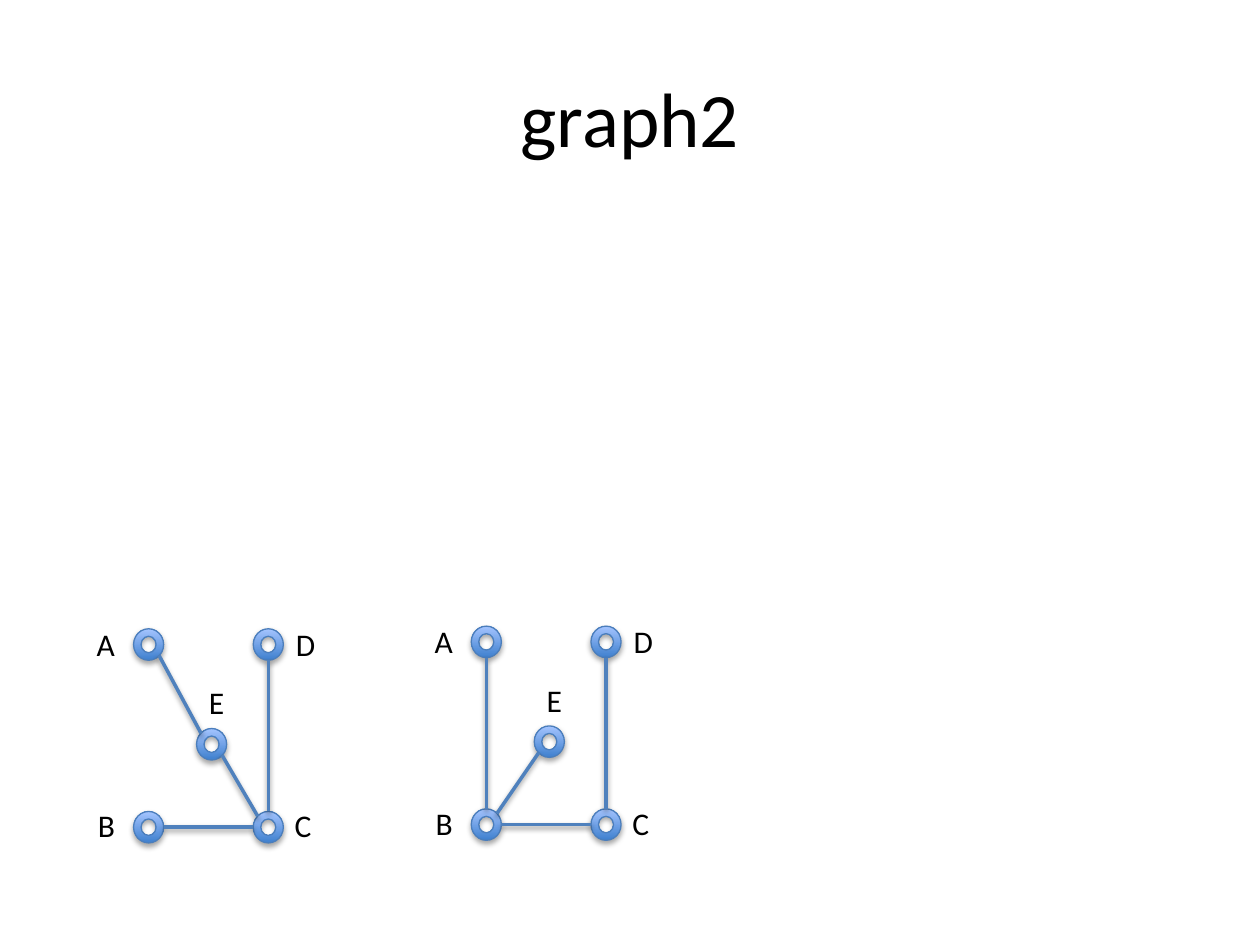
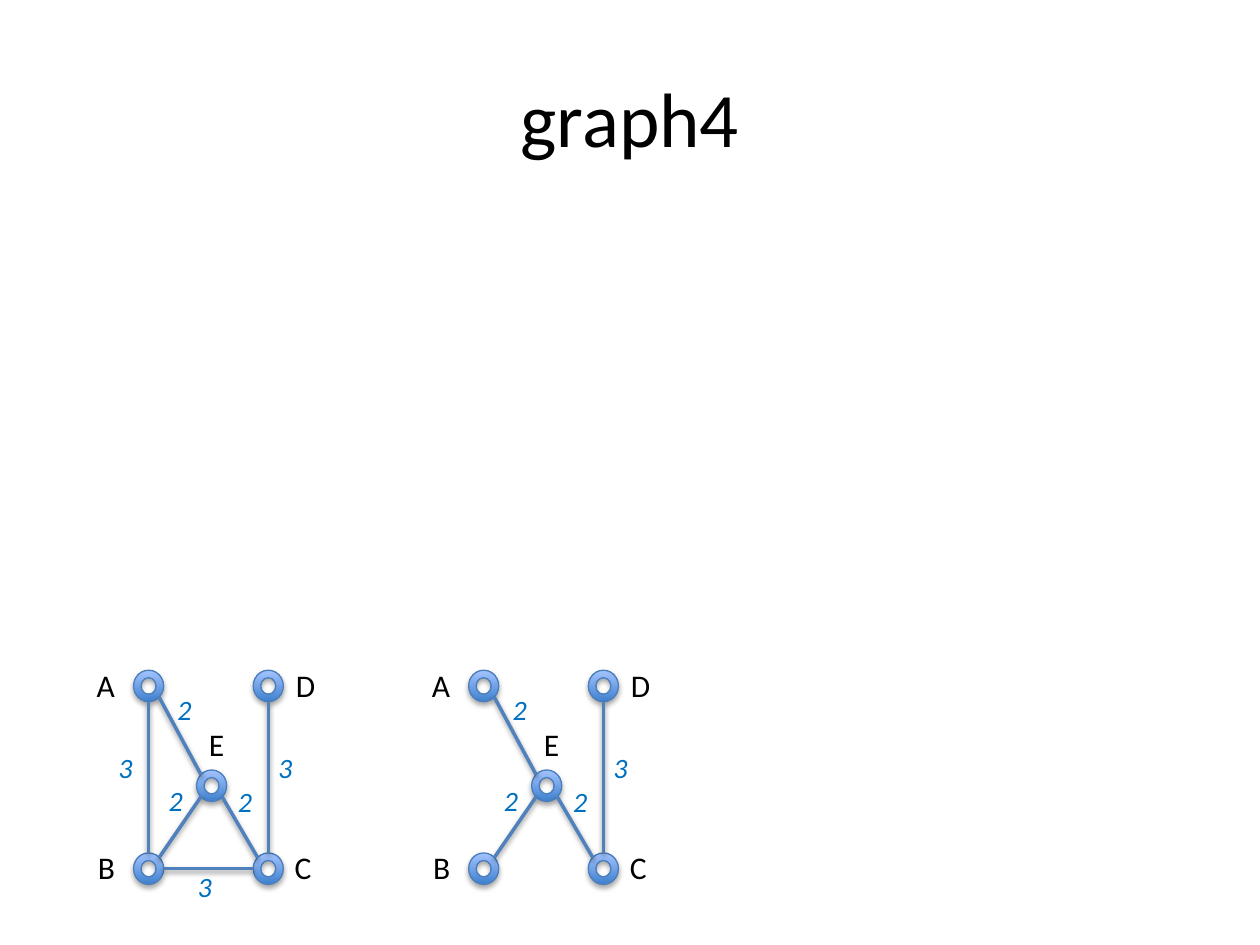
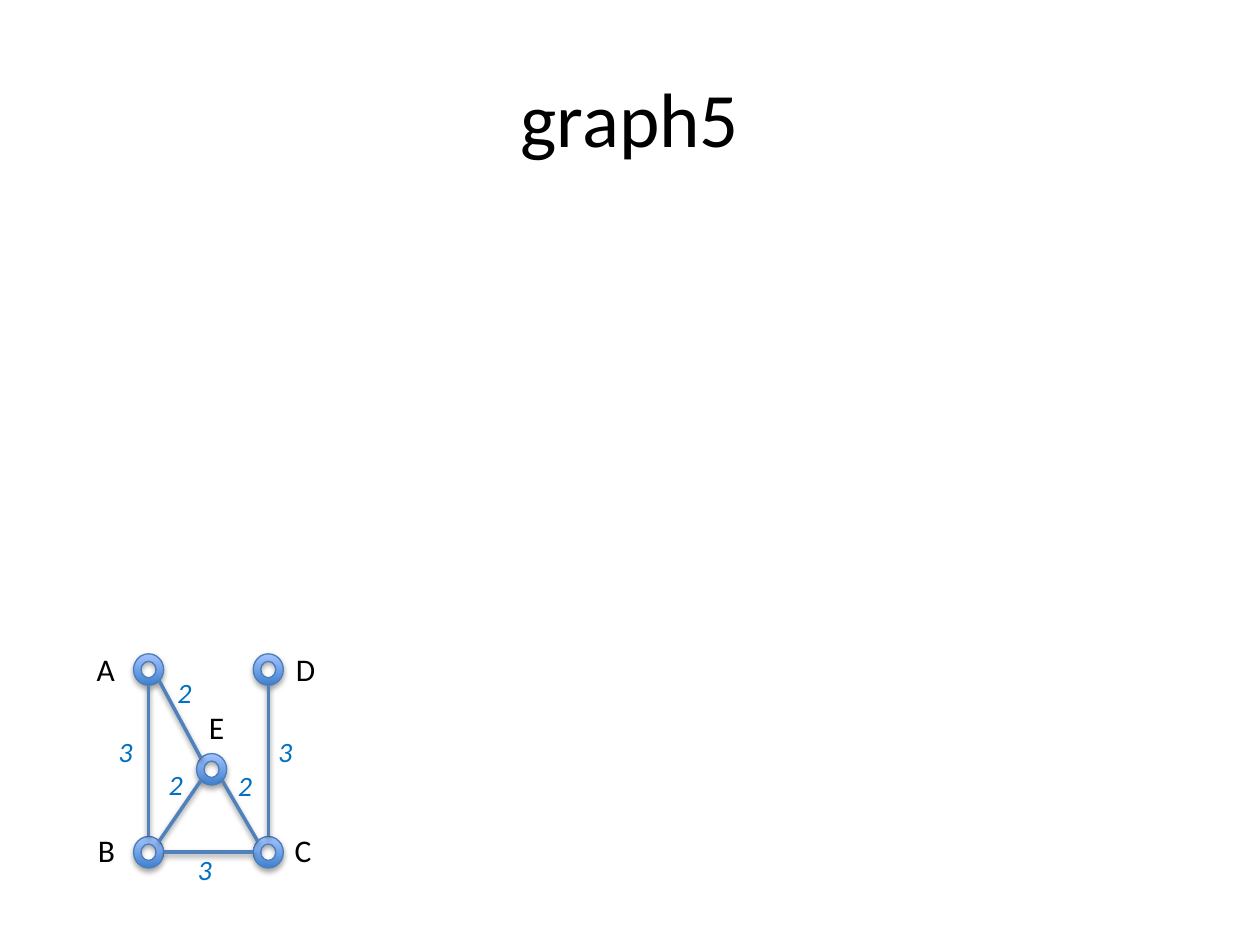
import dataclasses

import lxml.etree
import pptx
import pptx.dml.color
import pptx.enum.shapes
import pptx.enum.text
import pptx.oxml.ns
import pptx.presentation
import pptx.shapes.base
import pptx.shapes.shapetree
import pptx.text.text
import pptx.util

Pt = pptx.util.Pt

COLORS = {
    "text": "000000",
    "weight": "0070C0",
    "node_bottom": "3F80CE",
    "node_top": "A4C4FF",
    "node_line": "4B7EBC",
    "edge": "4F81BD",
    "shadow": "000000",
}
FONT = "Calibri"
NODE_WIDTH, NODE_HEIGHT = 17.2, 18
LABEL_HEIGHT = 29
WEIGHT_WIDTH, WEIGHT_HEIGHT = 23, 26.6

TOP_LEFT, TOP_RIGHT = (0.15, 0.15), (0.85, 0.15)
BOTTOM_LEFT, BOTTOM_RIGHT = (0.15, 0.85), (0.85, 0.85)
TOP, BOTTOM, LEFT, RIGHT = (0.5, 0), (0.5, 1), (0, 0.5), (1, 0.5)


@dataclasses.dataclass(frozen=True)
class Node:
    x: float
    y: float
    label_x: float
    label_y: float
    label_width: float
    wrap: bool = False


@dataclasses.dataclass(frozen=True)
class Edge:
    start: tuple[float, float]
    end: tuple[float, float]
    weight: str
    weight_x: float
    weight_y: float


@dataclasses.dataclass(frozen=True)
class Graph:
    x: float
    y: float
    edges: tuple[str, ...]
    weighted: bool = True


NODES = {
    "A": Node(0, 0, -28.1, -5.8, 25.2),
    "E": Node(36, 57, 36, 27.7, 23.8),
    "D": Node(68.4, 0, 85.7, -5.8, 25.9),
    "B": Node(0, 104.4, -27.4, 97.9, 24.5),
    "C": Node(68.4, 104.4, 85, 97.9, 24.5, wrap=True),
}
EDGES = {
    "DC": Edge(BOTTOM, TOP, "3", 75.6, 42.5),
    "EB": Edge(BOTTOM_LEFT, TOP_RIGHT, "2", 13, 61.2),
    "AB": Edge(BOTTOM, TOP, "3", -15.8, 42.5),
    "EC": Edge(BOTTOM_RIGHT, TOP_LEFT, "2", 52.6, 61.9),
    "AE": Edge(BOTTOM_RIGHT, TOP_LEFT, "2", 18, 9.1),
    "BC": Edge(RIGHT, LEFT, "3", 29.5, 110.2),
}
SLIDES = {
    "graph2": (
        Graph(76.3, 359.3, ("DC", "EC", "AE", "BC"), weighted=False),
        Graph(269.3, 357.8, ("DC", "EB", "AB", "BC"), weighted=False),
    ),
    "graph4": (
        Graph(76.3, 383, tuple(EDGES)),
        Graph(267.8, 383, ("DC", "EB", "EC", "AE")),
    ),
    "graph5": (Graph(76.3, 373.6, tuple(EDGES)),),
}


def color(name: str) -> pptx.dml.color.RGBColor:
    return pptx.dml.color.RGBColor.from_string(COLORS[name])


def add_shadow(shape: pptx.shapes.base.BaseShape, distance: float, opacity: int) -> None:
    qn = pptx.oxml.ns.qn
    effects = lxml.etree.SubElement(shape._element.spPr, qn("a:effectLst"))
    shadow = lxml.etree.SubElement(
        effects, qn("a:outerShdw"), blurRad=str(Pt(3.1)),
        dist=str(Pt(distance)), dir="5400000", rotWithShape="0",
    )
    tint = lxml.etree.SubElement(shadow, qn("a:srgbClr"), val=COLORS["shadow"])
    lxml.etree.SubElement(tint, qn("a:alpha"), val=str(opacity * 1000))


def add_run(
    para: pptx.text.text._Paragraph, text: str, size: float,
    color_name: str = "text", italic: bool = False,
) -> None:
    span = para.add_run()
    span.text = text
    span.font.name = FONT
    span.font.size = Pt(size)
    span.font.color.rgb = color(color_name)
    if italic:
        span.font.italic = True


def add_box(
    shapes: pptx.shapes.shapetree.GroupShapes,
    x: float, y: float, width: float, height: float, wrap: bool = False,
) -> pptx.text.text._Paragraph:
    box = shapes.add_textbox(Pt(x), Pt(y), Pt(width), Pt(height))
    frame = box.text_frame
    frame.word_wrap = wrap
    frame.auto_size = pptx.enum.text.MSO_AUTO_SIZE.SHAPE_TO_FIT_TEXT
    return frame.paragraphs[0]


def draw_node(
    shapes: pptx.shapes.shapetree.GroupShapes, graph: Graph, name: str
) -> None:
    node = NODES[name]
    ring = shapes.add_shape(
        pptx.enum.shapes.MSO_SHAPE.DONUT,
        Pt(graph.x + node.x), Pt(graph.y + node.y), Pt(NODE_WIDTH), Pt(NODE_HEIGHT),
    )
    ring.fill.gradient()
    ring.fill.gradient_angle = 90
    for stop, shade in zip(ring.fill.gradient_stops, ("node_bottom", "node_top")):
        stop.color.rgb = color(shade)
    ring.line.color.rgb = color("node_line")
    ring.line.width = Pt(0.75)
    add_shadow(ring, 1.8, 35)


def draw_edge(
    shapes: pptx.shapes.shapetree.GroupShapes, graph: Graph, name: str
) -> None:
    edge = EDGES[name]
    ends = []
    for node_name, (across, down) in zip(name, (edge.start, edge.end)):
        node = NODES[node_name]
        ends.append(Pt(graph.x + node.x + across * NODE_WIDTH))
        ends.append(Pt(graph.y + node.y + down * NODE_HEIGHT))
    line = shapes.add_connector(pptx.enum.shapes.MSO_CONNECTOR.STRAIGHT, *ends)
    line.line.color.rgb = color("edge")
    line.line.width = Pt(2)
    add_shadow(line, 1.6, 38)


def draw_graph(
    shapes: pptx.shapes.shapetree.GroupShapes, graph: Graph
) -> None:
    for name in NODES:
        draw_node(shapes, graph, name)
    for name in graph.edges:
        draw_edge(shapes, graph, name)
    for name, node in NODES.items():
        para = add_box(
            shapes, graph.x + node.label_x, graph.y + node.label_y,
            node.label_width, LABEL_HEIGHT, node.wrap,
        )
        add_run(para, name, 18)
    if graph.weighted:
        for edge in (EDGES[name] for name in graph.edges):
            para = add_box(
                shapes, graph.x + edge.weight_x, graph.y + edge.weight_y,
                WEIGHT_WIDTH, WEIGHT_HEIGHT,
            )
            add_run(para, edge.weight, 16, "weight", italic=True)


def add_page(
    deck: pptx.presentation.Presentation, heading: str, graphs: tuple[Graph, ...]
) -> None:
    page = deck.slides.add_slide(deck.slide_layouts.get_by_name("Title Only"))
    title = page.shapes.title
    title.left, title.top, title.width, title.height = Pt(36), Pt(21.6), Pt(648), Pt(90)
    title.text_frame.vertical_anchor = pptx.enum.text.MSO_ANCHOR.MIDDLE
    para = title.text_frame.paragraphs[0]
    para.alignment = pptx.enum.text.PP_ALIGN.CENTER
    add_run(para, heading, 44)
    for graph in graphs:
        draw_graph(page.shapes.add_group_shape().shapes, graph)


deck = pptx.Presentation()
deck.slide_width, deck.slide_height = Pt(720), Pt(540)
for heading, graphs in SLIDES.items():
    add_page(deck, heading, graphs)
deck.save("out.pptx")
